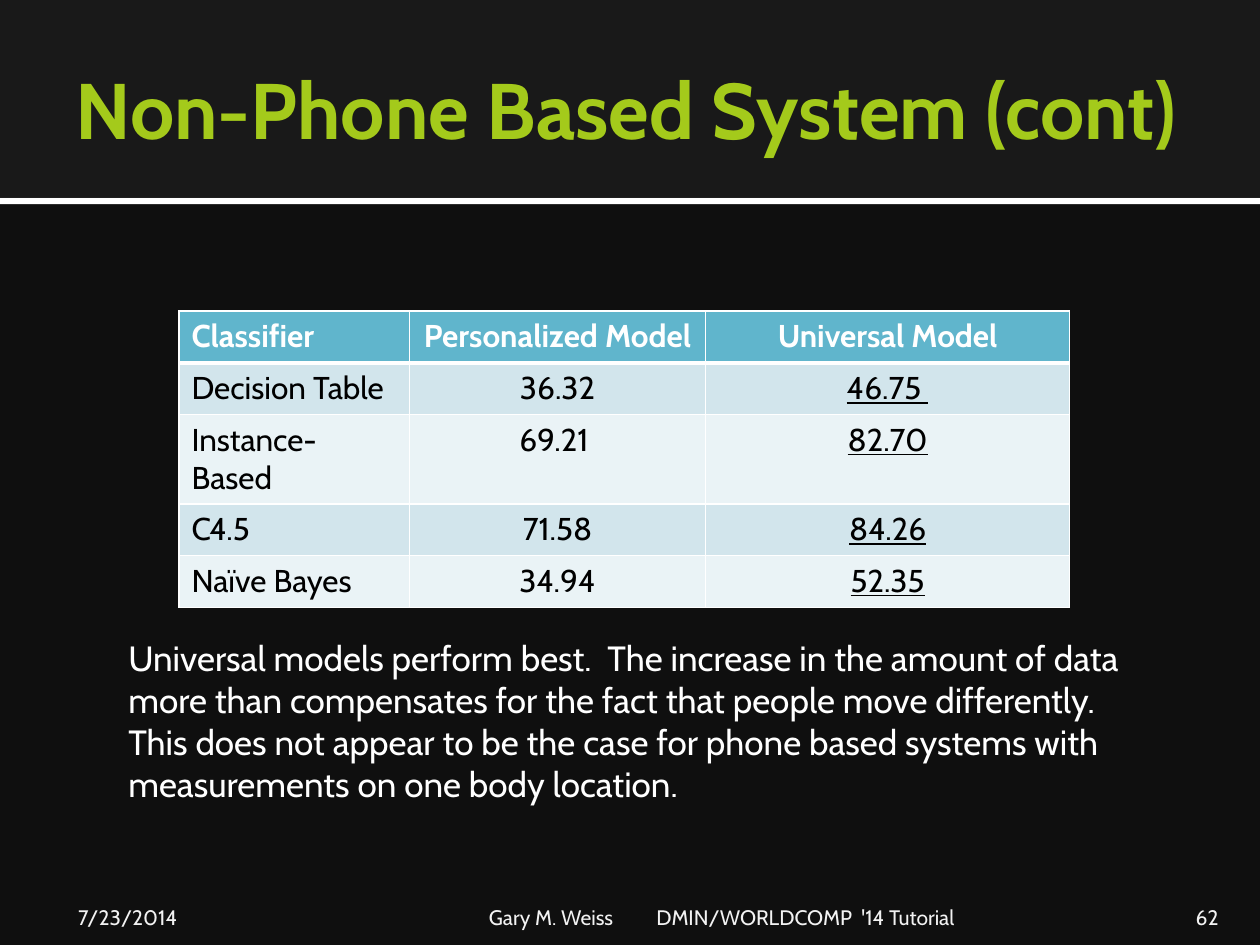
from lxml import etree
from pptx import Presentation
from pptx.dml.color import RGBColor
from pptx.enum.shapes import MSO_SHAPE
from pptx.enum.text import MSO_ANCHOR, MSO_AUTO_SIZE, PP_ALIGN
from pptx.oxml.ns import qn
from pptx.util import Inches, Pt

RECTANGLE = MSO_SHAPE.RECTANGLE
LEFT, CENTER, RIGHT = PP_ALIGN.LEFT, PP_ALIGN.CENTER, PP_ALIGN.RIGHT
MIDDLE, BOTTOM = MSO_ANCHOR.MIDDLE, MSO_ANCHOR.BOTTOM
NO_AUTOFIT = MSO_AUTO_SIZE.NONE
FONT = "Cabin"
COLORS = {
    "background": "0F0F0F",
    "band": "191919",
    "white": "FFFFFF",
    "title": "A4CA1B",
    "header": "60B5CC",
    "odd_row": "D2E5EC",
    "even_row": "EAF3F6",
    "cell_text": "000000",
    "footer": "F2F2F2",
}


def write(frame, text, size, color, align=LEFT, bold=False, underline=False):
    para = frame.paragraphs[0]
    para.text = text
    para.alignment = align
    font = para.runs[0].font
    font.name, font.size, font.bold = FONT, Pt(size), bold
    font.underline = underline
    font.color.rgb = RGBColor.from_string(COLORS[color])
    return para


def add_border(cell, side, width):
    line = etree.SubElement(cell._tc.get_or_add_tcPr(), qn(f"a:{side}"), w=str(Pt(width)))
    fill = etree.SubElement(line, qn("a:solidFill"))
    etree.SubElement(fill, qn("a:srgbClr"), val=COLORS["white"])


deck = Presentation()
deck.slide_width, deck.slide_height = Inches(10), Inches(7.5)
page = deck.slides.add_slide(deck.slide_layouts[5])
page.background.fill.solid()
page.background.fill.fore_color.rgb = RGBColor.from_string(COLORS["background"])

for top, height, color in [(1.57, 0.05, "white"), (0, 1.57, "band")]:
    band = page.shapes.add_shape(RECTANGLE, 0, Inches(top), Inches(10), Inches(height))
    band.shadow.inherit = False
    band.fill.solid()
    band.fill.fore_color.rgb = RGBColor.from_string(COLORS[color])
    band.line.fill.background()

title = page.shapes.title
title.element.getparent().append(title.element)
title.left, title.top = Inches(0.5), Inches(0.17)
title.width, title.height = Inches(9), Inches(1.37)
frame = title.text_frame
frame.auto_size = NO_AUTOFIT
frame.vertical_anchor = MIDDLE
frame.margin_left, frame.margin_right = Inches(0.1), Inches(0.05)
write(frame, "Non-Phone Based System (cont)", 45, "title", bold=True)

results = [
    ("Classifier", "Personalized Model", "Universal Model"),
    ("Decision Table", "36.32", "46.75 "),
    ("Instance-Based", "69.21 ", "82.70"),
    ("C4.5", "71.58", "84.26"),
    ("Naïve Bayes", "34.94", "52.35"),
]
table = page.shapes.add_table(
    5, 3, Inches(1.42), Inches(2.47), Inches(7.08), Inches(2.34)
).table
for column, width in zip(table.columns, [1.83, 2.35, 2.89]):
    column.width = Inches(width)
for row, height in zip(table.rows, [0.41, 0.41, 0.71, 0.41, 0.41]):
    row.height = Inches(height)

for row_index, values in enumerate(results):
    is_header = row_index == 0
    row_fill = "header" if is_header else ("even_row", "odd_row")[row_index % 2]
    for column_index, value in enumerate(values):
        cell = table.cell(row_index, column_index)
        for side in ("lnL", "lnR", "lnT", "lnB"):
            under_header = (row_index, side) in [(0, "lnB"), (1, "lnT")]
            add_border(cell, side, 3 if under_header else 1)
        cell.fill.solid()
        cell.fill.fore_color.rgb = RGBColor.from_string(COLORS[row_fill])
        write(
            cell.text_frame, value, 18,
            "white" if is_header else "cell_text",
            align=CENTER if column_index else LEFT,
            bold=is_header,
            underline=column_index == 2 and not is_header,
        )

footers = [
    ("7/23/2014", 0.5, 2.33, 0.12, 0.05, LEFT),
    ("Gary M. Weiss\tDMIN/WORLDCOMP  '14 Tutorial", 3.83, 5.08, 0.05, 0.05, LEFT),
    ("62", 8.97, 0.8, 0.1, 0.1, RIGHT),
]
for text, left, width, margin_left, margin_right, align in footers:
    box = page.shapes.add_textbox(Inches(left), Inches(7.08), Inches(width), Inches(0.3))
    frame = box.text_frame
    frame.word_wrap = True
    frame.vertical_anchor = BOTTOM
    frame.margin_left, frame.margin_right = Inches(margin_left), Inches(margin_right)
    frame.margin_bottom = 0
    para = write(frame, text, 12, "footer", align)
    if "\t" in text:
        tabs = etree.SubElement(para._p.get_or_add_pPr(), qn("a:tabLst"))
        etree.SubElement(tabs, qn("a:tab"), pos=str(Inches(1.33)), algn="l")

box = page.shapes.add_textbox(Inches(0.92), Inches(5), Inches(8.33), Inches(1.45))
box.text_frame.word_wrap = True
conclusion = (
    "Universal models perform best.  The increase in the amount of data more than "
    "compensates for the fact that people move differently. This does not appear to be "
    "the case for phone based systems with measurements on one body location."
)
write(box.text_frame, conclusion, 20, "white")

deck.save("out.pptx")
